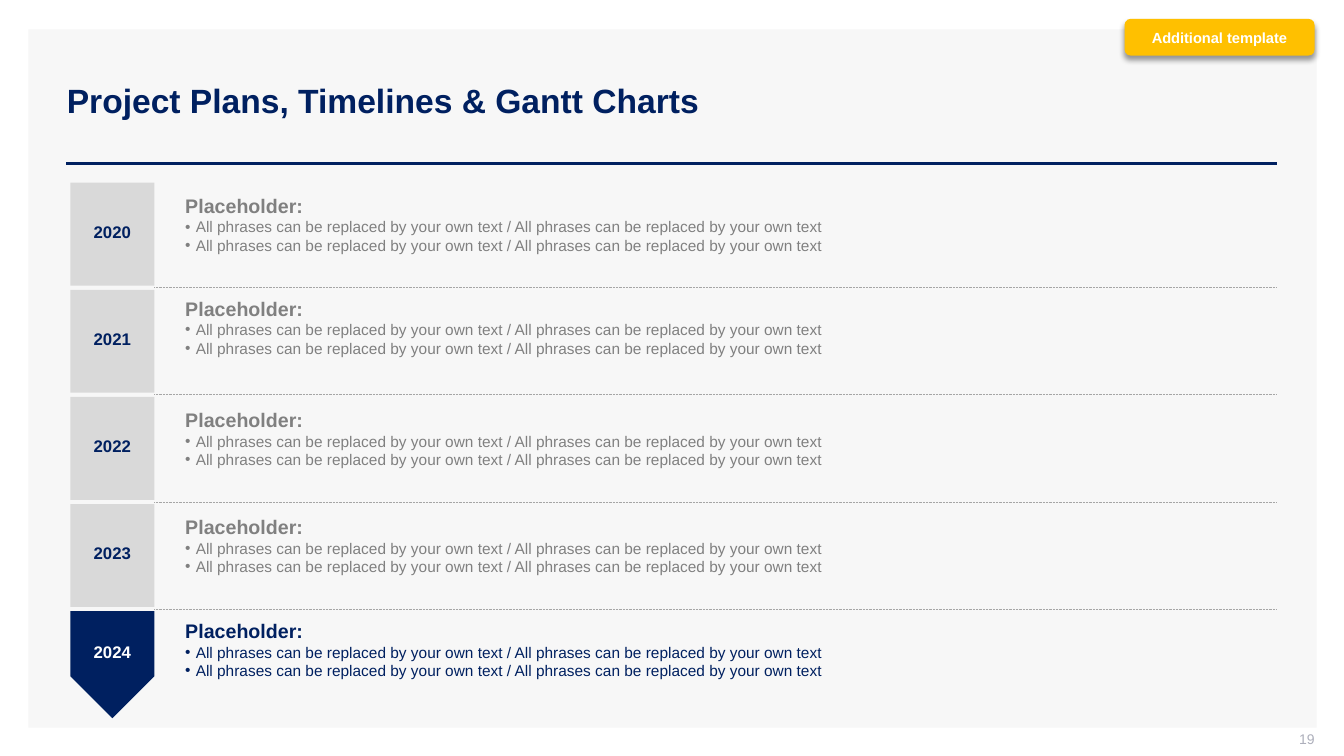
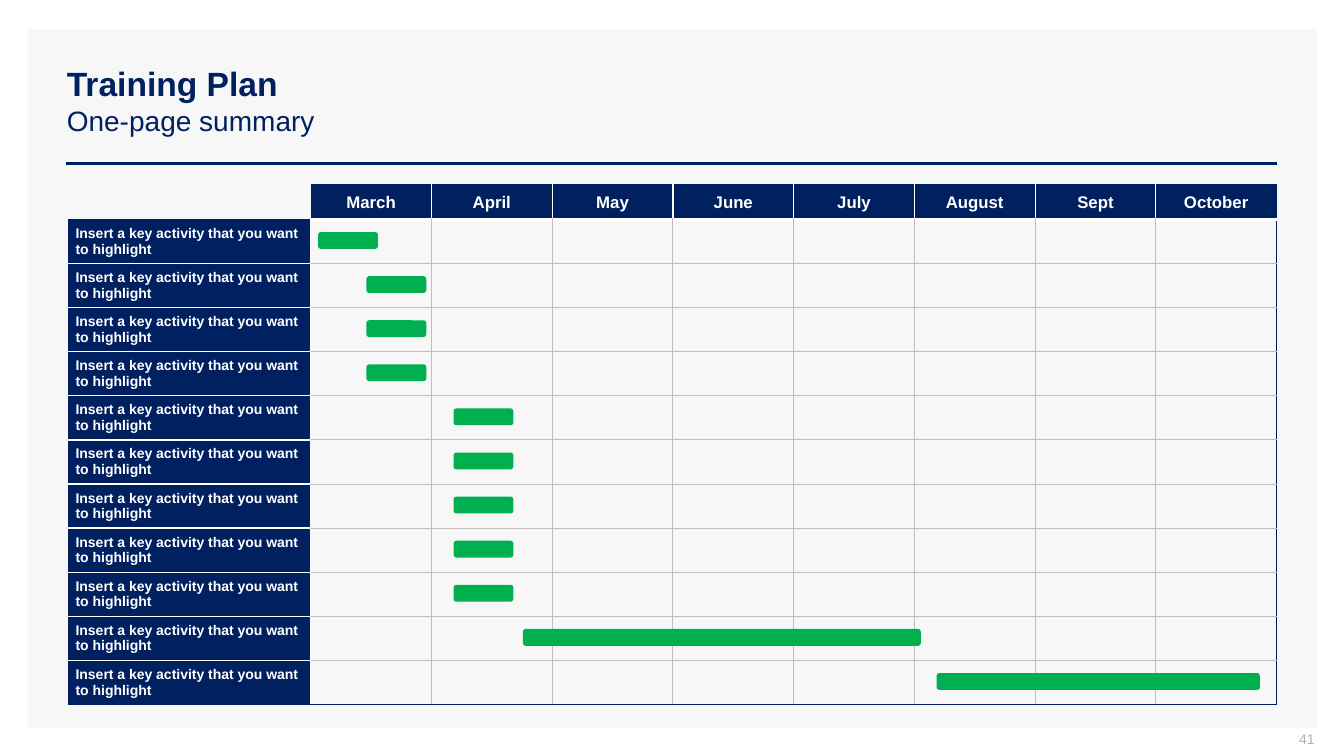
"""Build a year-by-year project plan and a one-page training Gantt chart."""
from dataclasses import dataclass
from typing import Optional

from lxml import etree
from pptx import Presentation
from pptx import util as u
from pptx.dml.color import RGBColor
from pptx.enum import dml, shapes, text
from pptx.oxml.ns import qn

FONT = "Arial"
COLORS = {
    "navy": "002060", "white": "FFFFFF", "panel": "F7F7F7", "year": "D9D9D9",
    "muted": "808080", "divider": "A6A6A6", "grid": "BFBFBF", "number": "ADAFBB",
    "badge": "FFC000", "bar": "00B050", "shadow": "000000",
}
PLAIN_TABLE_STYLE = "{2D5ABB26-0587-4C30-8999-92F81FD0307C}"

CONTENT_LEFT, CONTENT_RIGHT, RULE_TOP = 63, 1216, 156
YEAR_TOP, YEAR_PITCH, YEAR_CENTER, YEAR_WIDTH = 174, 102, 107, 80
YEAR_LENGTH, ARROW_LENGTH = 98, 102
PHRASE = " / ".join(["All phrases can be replaced by your own text"] * 2)

TABLE_LEFT, TABLE_TOP = 65, 176
LABEL_WIDTH, MONTH_WIDTH = 231, 115
HEADER_HEIGHT, ROW_HEIGHT = 33, 42
BAR_OFFSET, BAR_HEIGHT, SHORT_BAR = 12, 16, 57
MONTHS = ["March", "April", "May", "June", "July", "August", "Sept", "October"]
ACTIVITY = "Insert a key activity that you want to highlight"


@dataclass(frozen=True)
class Box:
    """Place and size in px."""
    left: int
    top: int
    width: int
    height: int

    def emu(self) -> tuple:
        """Return the four lengths in EMU."""
        return px(self.left), px(self.top), px(self.width), px(self.height)


@dataclass(frozen=True)
class Year:
    """One year of the timeline, with the top of its text."""
    label: str
    text_top: int
    current: bool = False


@dataclass(frozen=True)
class Bar:
    """One activity's bar in the Gantt chart."""
    left: int
    width: int = SHORT_BAR


@dataclass(frozen=True)
class Edge:
    """Colour and width in points of a cell border."""
    color: str
    points: float


YEARS = [Year("2020", 180), Year("2021", 278), Year("2022", 384),
         Year("2023", 486), Year("2024", 585, current=True)]
BARS = [Bar(303), *[Bar(349)] * 3, *[Bar(432)] * 5, Bar(498, 379), Bar(892, 308)]
OUTER, GRID = Edge("navy", 0.75), Edge("grid", 0.75)
GAP, HEADER_GAP = Edge("white", 1), Edge("white", 3)


def px(length: float) -> int:
    """Turn px into EMU."""
    return u.Emu(int(length * 9525))


def rgb(name: str) -> RGBColor:
    """Look up a named colour."""
    return RGBColor.from_string(COLORS[name])


def add_run(paragraph, words: str, size: float, color: str, bold: bool = False) -> None:
    """Append a formatted run."""
    run = paragraph.add_run()
    run.text = words
    font = run.font
    font.name, font.size, font.bold = FONT, u.Pt(size), bold
    font.color.rgb = rgb(color)


def add_block(slide, kind, box: Box, fill: str):
    """Draw a filled preset shape without outline or shadow."""
    shape = slide.shapes.add_shape(kind, *box.emu())
    shape.shadow.inherit = False
    shape.fill.solid()
    shape.fill.fore_color.rgb = rgb(fill)
    shape.line.fill.background()
    return shape


def add_rule(slide, left: int, y: int, color: str, points: float, dash=None):
    """Draw a horizontal line that ends at the right content edge."""
    connector = slide.shapes.add_connector(
        shapes.MSO_CONNECTOR.STRAIGHT, px(left), px(y), px(CONTENT_RIGHT), px(y))
    connector.line.color.rgb = rgb(color)
    connector.line.width = u.Pt(points)
    if dash is not None:
        connector.line.dash_style = dash
    etree.SubElement(connector.element.spPr, qn("a:effectLst"))
    return connector


def add_frame(layout, slide) -> None:
    """Put the panel and title rule behind the layout's placeholders."""
    panel = add_block(slide, shapes.MSO_SHAPE.RECTANGLE, Box(27, 28, 1227, 665), "panel")
    rule = add_rule(slide, CONTENT_LEFT, RULE_TOP, "navy", 2)
    for position, shape in enumerate((panel, rule), start=2):
        layout.shapes.element.insert(position, shape.element)


def add_titled_slide(presentation, number: str, title: str, subtitle: str = ""):
    """Add a slide with its title and page number."""
    layout = presentation.slide_layouts[5]
    slide = presentation.slides.add_slide(layout)
    if len(presentation.slides) == 1:
        add_frame(layout, slide)
    placeholder = slide.shapes.title
    placeholder.left, placeholder.top, placeholder.width, placeholder.height = Box(
        54, 38, 1163, 114).emu()
    frame = placeholder.text_frame
    frame.auto_size = text.MSO_AUTO_SIZE.NONE
    frame.vertical_anchor = text.MSO_ANCHOR.MIDDLE
    paragraph = frame.paragraphs[0]
    paragraph.alignment = text.PP_ALIGN.LEFT
    add_run(paragraph, title, 24, "navy", bold=True)
    if subtitle:
        paragraph = frame.add_paragraph()
        paragraph.alignment = text.PP_ALIGN.LEFT
        add_run(paragraph, subtitle, 20, "navy")

    frame = slide.shapes.add_textbox(*Box(964, 696, 288, 20).emu()).text_frame
    frame.word_wrap = True
    frame.vertical_anchor = text.MSO_ANCHOR.MIDDLE
    frame.margin_top = frame.margin_right = 0
    frame.margin_bottom = px(5)
    frame.paragraphs[0].alignment = text.PP_ALIGN.RIGHT
    add_run(frame.paragraphs[0], number, 10, "number")
    return slide


def add_year(slide, year: Year, top: int) -> None:
    """Draw a year marker, turned so that the current one points down."""
    kind = shapes.MSO_SHAPE.PENTAGON if year.current else shapes.MSO_SHAPE.RECTANGLE
    length = ARROW_LENGTH if year.current else YEAR_LENGTH
    box = Box(YEAR_CENTER - length // 2, top + (length - YEAR_WIDTH) // 2, length, YEAR_WIDTH)
    shape = add_block(slide, kind, box, "navy" if year.current else "year")
    shape.rotation = 90
    frame = shape.text_frame
    frame.vertical_anchor = text.MSO_ANCHOR.MIDDLE
    frame.word_wrap = True
    shape.element.txBody.find(qn("a:bodyPr")).set("vert", "vert270")
    paragraph = frame.paragraphs[0]
    paragraph.alignment = text.PP_ALIGN.CENTER
    paragraph.line_spacing = u.Pt(11)
    add_run(paragraph, year.label, 12, "white" if year.current else "navy", bold=True)


def add_year_text(slide, year: Year) -> None:
    """Write a year's heading and two bullets."""
    color = "navy" if year.current else "muted"
    frame = slide.shapes.add_textbox(*Box(167, year.text_top, 1048, 85).emu()).text_frame
    frame.word_wrap = True
    frame.auto_size = text.MSO_AUTO_SIZE.SHAPE_TO_FIT_TEXT
    add_run(frame.paragraphs[0], "Placeholder:", 14, color, bold=True)
    for _ in range(2):
        paragraph = frame.add_paragraph()
        properties = paragraph._p.get_or_add_pPr()
        properties.set("marL", str(px(10)))
        properties.set("indent", str(px(-10)))
        etree.SubElement(properties, qn("a:buFont"), typeface=FONT)
        etree.SubElement(properties, qn("a:buChar"), char="•")
        add_run(paragraph, PHRASE, 11, color)


def add_badge(slide, words: str) -> None:
    """Draw the shadowed badge in the top right corner."""
    shape = add_block(slide, shapes.MSO_SHAPE.ROUNDED_RECTANGLE, Box(1071, 18, 181, 35), "badge")
    effects = shape.element.spPr.find(qn("a:effectLst"))
    shadow = etree.SubElement(effects, qn("a:outerShdw"), blurRad=str(u.Pt(4)),
                              dist=str(u.Pt(3)), dir="5400000", algn="t", rotWithShape="0")
    color = etree.SubElement(shadow, qn("a:srgbClr"), val=COLORS["shadow"])
    etree.SubElement(color, qn("a:alpha"), val="40000")
    frame = shape.text_frame
    frame.vertical_anchor = text.MSO_ANCHOR.MIDDLE
    frame.paragraphs[0].alignment = text.PP_ALIGN.CENTER
    add_run(frame.paragraphs[0], words, 10.5, "white", bold=True)


def build_timeline(presentation) -> None:
    """Build the yearly project plan."""
    slide = add_titled_slide(presentation, "19", "Project Plans, Timelines & Gantt Charts")
    for index, year in enumerate(YEARS):
        top = YEAR_TOP + index * YEAR_PITCH
        add_year(slide, year, top)
        add_year_text(slide, year)
        if not year.current:
            add_rule(slide, 147, top + 100, "divider", 0.5, dml.MSO_LINE.ROUND_DOT)
    add_badge(slide, "Additional template")


def cell_edges(row: int, column: int) -> dict[str, Optional[Edge]]:
    """Work out a cell's borders from its place in the table."""
    last_row, last_column = row == len(BARS), column == len(MONTHS)
    if row == 0 and column == 0:
        return {}
    if row == 0:
        return {"L": GAP if column > 1 else None, "R": OUTER if last_column else GAP,
                "T": OUTER, "B": HEADER_GAP}
    if column == 0:
        return {"L": OUTER, "R": GAP, "T": GAP if row > 1 else None,
                "B": OUTER if last_row else GAP}
    return {"L": GAP if column == 1 else GRID, "R": OUTER if last_column else GRID,
            "T": HEADER_GAP if row == 1 else GRID, "B": OUTER if last_row else GRID}


def format_cell(cell, row: int, column: int) -> None:
    """Set a cell's borders, fill, margins and words."""
    properties = cell._tc.get_or_add_tcPr()
    for side, edge in cell_edges(row, column).items():
        if edge is not None:
            line = etree.SubElement(properties, qn(f"a:ln{side}"), w=str(u.Pt(edge.points)))
            fill = etree.SubElement(line, qn("a:solidFill"))
            etree.SubElement(fill, qn("a:srgbClr"), val=COLORS[edge.color])
    cell.margin_left = cell.margin_right = px(7)
    cell.margin_top = cell.margin_bottom = 0
    cell.vertical_anchor = text.MSO_ANCHOR.MIDDLE
    if (row == 0) == (column == 0):
        cell.fill.background()
        return
    cell.fill.solid()
    cell.fill.fore_color.rgb = rgb("navy")
    paragraph = cell.text_frame.paragraphs[0]
    if row == 0:
        paragraph.alignment = text.PP_ALIGN.CENTER
        add_run(paragraph, MONTHS[column - 1], 12, "white", bold=True)
    else:
        add_run(paragraph, ACTIVITY, 10, "white", bold=True)


def build_training_plan(presentation) -> None:
    """Build the Gantt table and its bars."""
    slide = add_titled_slide(presentation, "41", "Training Plan", "One-page summary")
    widths = [LABEL_WIDTH] + [MONTH_WIDTH] * len(MONTHS)
    heights = [HEADER_HEIGHT] + [ROW_HEIGHT] * len(BARS)
    box = Box(TABLE_LEFT, TABLE_TOP, sum(widths), sum(heights))
    graphic_frame = slide.shapes.add_table(len(heights), len(widths), *box.emu())
    for style in graphic_frame.element.iter(qn("a:tableStyleId")):
        style.text = PLAIN_TABLE_STYLE
    table = graphic_frame.table
    table.first_row = table.horz_banding = False
    for column, width in zip(table.columns, widths):
        column.width = px(width)
    for row, height in enumerate(heights):
        table.rows[row].height = px(height)
        for column in range(len(widths)):
            format_cell(table.cell(row, column), row, column)
    first_bar_top = TABLE_TOP + HEADER_HEIGHT + BAR_OFFSET
    for index, bar in enumerate(BARS):
        bar_box = Box(bar.left, first_bar_top + index * ROW_HEIGHT, bar.width, BAR_HEIGHT)
        add_block(slide, shapes.MSO_SHAPE.ROUNDED_RECTANGLE, bar_box, "bar")


def main() -> None:
    """Build and save the presentation."""
    presentation = Presentation()
    presentation.slide_width, presentation.slide_height = px(1280), px(720)
    build_timeline(presentation)
    build_training_plan(presentation)
    presentation.save("out.pptx")


if __name__ == "__main__":
    main()
